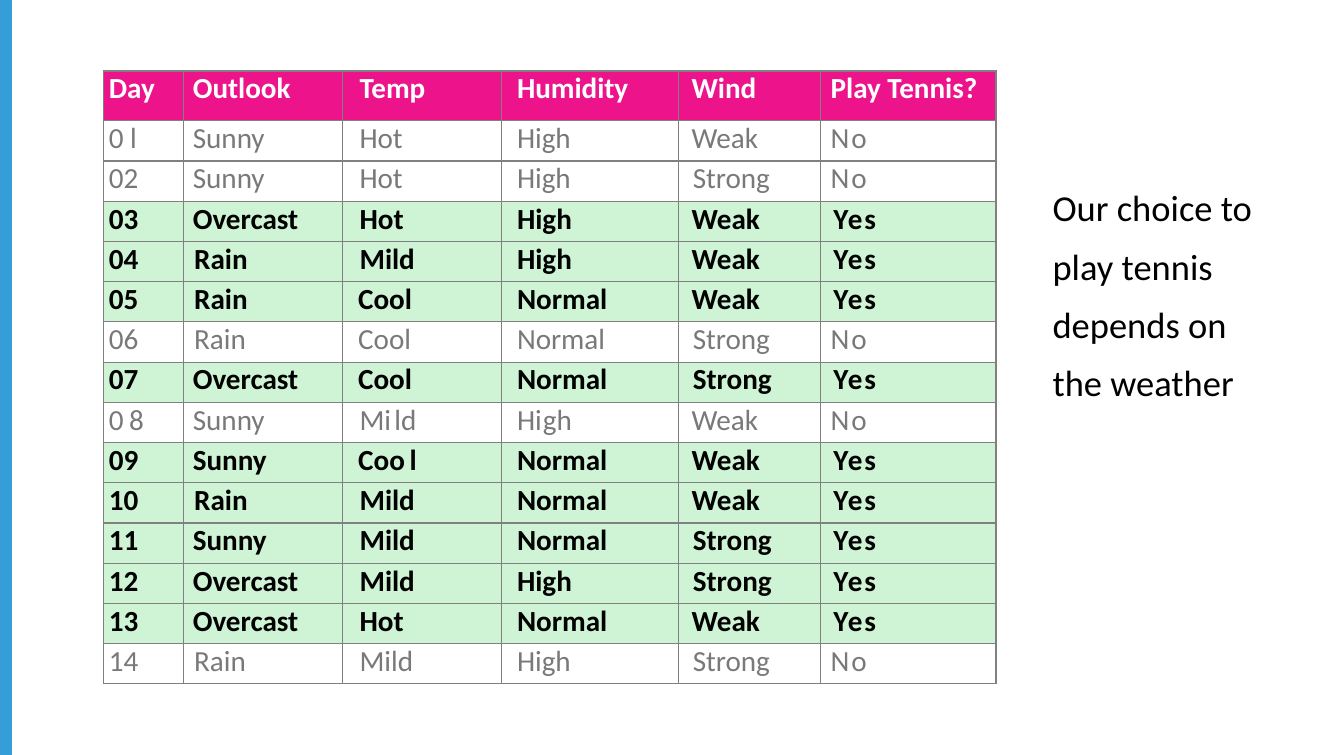
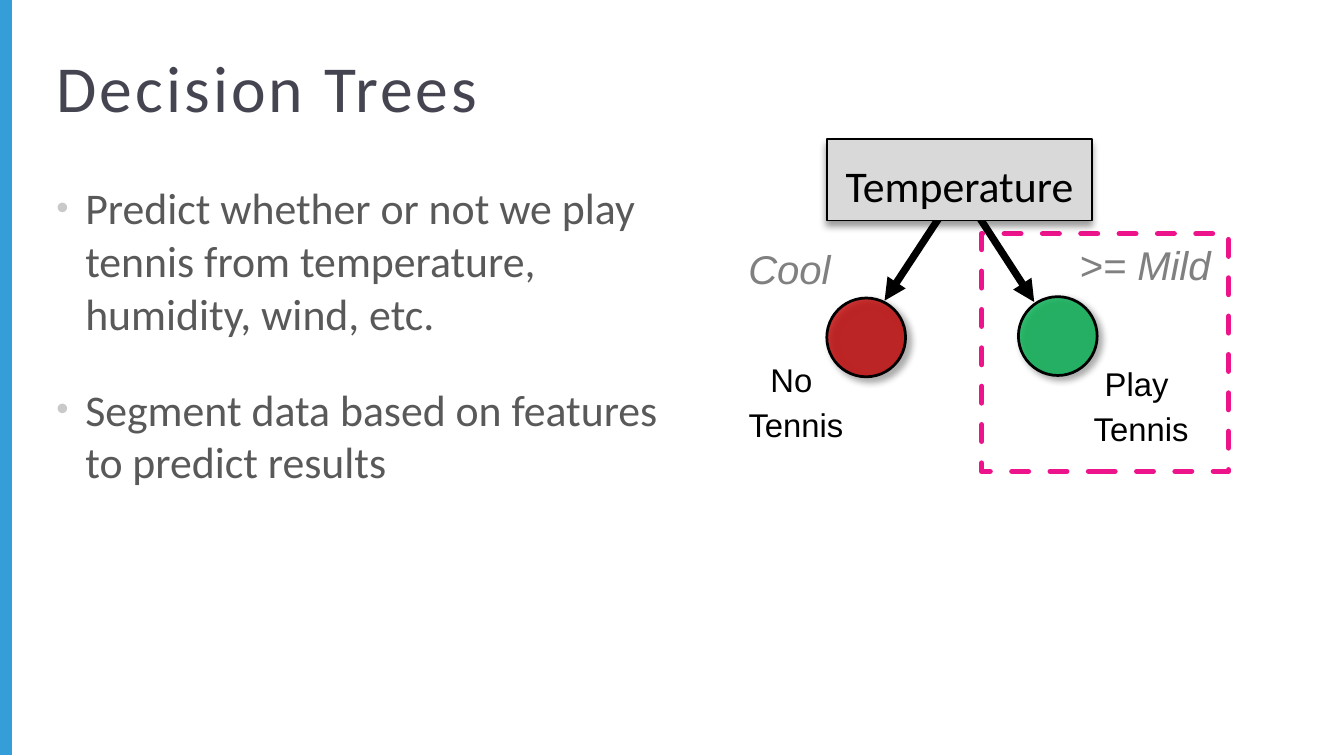
import pptx
import pptx.util
import pptx.dml.color
import pptx.enum.dml
import pptx.enum.shapes
import pptx.enum.text
import pptx.oxml
import pptx.oxml.ns

RGB = pptx.dml.color.RGBColor.from_string
Pt = pptx.util.Pt
SHAPE = pptx.enum.shapes.MSO_SHAPE
ALIGN = pptx.enum.text.PP_ALIGN
ANCHOR = pptx.enum.text.MSO_ANCHOR
PX = 9144  # EMU per px, 100 px to the inch
NS = pptx.oxml.ns.nsdecls("a")


class Theme:
    band, accent, grid = RGB("359ED8"), RGB("EC138B"), "808080"
    title, body, bullet = RGB("454551"), RGB("595959"), "C9C9C9"
    black, white, muted, label = RGB("000000"), RGB("FFFFFF"), RGB("797979"), RGB("808080")
    box, yes, no, play = RGB("D9D9D9"), RGB("A2EAAF"), RGB("C00000"), RGB("00B050")
    heading, sans = "Calibri", "Arial"
    title_size, body_size, side_size, cell_size = Pt(36), Pt(24), Pt(20), Pt(16)
    branch_size, outcome_size = Pt(22), Pt(18)


def style(paragraph, size, color, face=Theme.heading, bold=False, italic=False):
    for run in paragraph.runs:
        font = run.font
        font.size, font.name, font.bold, font.italic = size, face, bold, italic
        font.color.rgb = color


def add_xml(parent, xml, index=None):
    tag_end = min(xml.index(mark) for mark in " />" if mark in xml)
    element = pptx.oxml.parse_xml(f"{xml[:tag_end]} {NS}{xml[tag_end:]}")
    parent.insert(len(parent) if index is None else index, element)


deck = pptx.Presentation()
deck.slide_width, deck.slide_height = 1024 * PX, 575 * PX
weather = deck.slides.add_slide(deck.slide_layouts[6])
tree = deck.slides.add_slide(deck.slide_layouts[1])

# Left band, kept on the master for both slides
band = weather.shapes.add_shape(SHAPE.RECTANGLE, 0, 0, 9 * PX, deck.slide_height)
band.shadow.inherit = False
band.fill.solid()
band.fill.fore_color.rgb = Theme.band
band.line.fill.background()
band.element.nvSpPr.cNvPr.set("id", "99")
deck.slide_master.shapes.element.insert(2, band.element)

# Slide 1: weather table
header = ["Day", "Outlook", "Temp", "Humidity", "Wind", "Play Tennis?"]
days = [
    ["0 l", "Sunny", "Hot", "High", "Weak", "No"],
    ["02", "Sunny", "Hot", "High", "Strong", "No"],
    ["03", "Overcast", "Hot", "High", "Weak", "Yes"],
    ["04", "Rain", "Mild", "High", "Weak", "Yes"],
    ["05", "Rain", "Cool", "Normal", "Weak", "Yes"],
    ["06", "Rain", "Cool", "Normal", "Strong", "No"],
    ["07", "Overcast", "Cool", "Normal", "Strong", "Yes"],
    ["08", "Sunny", "Mild", "High", "Weak", "No"],
    ["09", "Sunny", "Cool", "Normal", "Weak", "Yes"],
    ["10", "Rain", "Mild", "Normal", "Weak", "Yes"],
    ["11", "Sunny", "Mild", "Normal", "Strong", "Yes"],
    ["12", "Overcast", "Mild", "High", "Strong", "Yes"],
    ["13", "Overcast", "Hot", "Normal", "Weak", "Yes"],
    ["14", "Rain", "Mild", "High", "Strong", "No"],
]
column_widths = [61, 121, 121, 135, 108, 134]
column_indents = [4, 7, 13, 12, 10, 8]
value_indents = {"Rain": 8, "Cool": 12, "Strong": 11, "Yes": 10}
# Letter spacing in hundredths of a point, by row and column
spaced_runs = {
    (8, 0): [("08", 300)],
    (8, 2): [("M", 0), ("i", 180), ("ld", 0)],
    (8, 3): [("H", 0), ("i", 60), ("gh", 0)],
    (9, 2): [("Co", 0), ("o", 250), ("l", 0)],
}

days_table = weather.shapes.add_table(
    len(days) + 1, len(header), 79 * PX, 54 * PX, sum(column_widths) * PX, 467 * PX).table
for column, width in zip(days_table.columns, column_widths):
    column.width = width * PX
for row in days_table.rows:
    row.height = (467 - 38) * PX // len(days)
days_table.rows[0].height = 38 * PX

for r, values in enumerate([header] + days):
    played = values[-1] == "Yes"
    text_color = Theme.white if r == 0 else Theme.black if played else Theme.muted
    for c, value in enumerate(values):
        cell = days_table.cell(r, c)
        cell.margin_top = cell.margin_right = cell.margin_bottom = 0
        cell.margin_left = value_indents.get(value, column_indents[c]) * PX
        paragraph = cell.text_frame.paragraphs[0]
        answer_gap = 100 if r and c == len(header) - 1 else 0
        for text, gap in spaced_runs.get((r, c), [(value, answer_gap)]):
            run = paragraph.add_run()
            run.text = text
            if gap:
                run._r.get_or_add_rPr().set("spc", str(gap))
        style(paragraph, Theme.cell_size, text_color, bold=r == 0 or played)
        if r == 0 or played:
            cell.fill.solid()
            cell.fill.fore_color.rgb = Theme.yes if r else Theme.accent
        else:
            cell.fill.background()
        properties = cell._tc.get_or_add_tcPr()
        if played:
            add_xml(properties.find(".//" + pptx.oxml.ns.qn("a:srgbClr")), '<a:alpha val="52000"/>')
        for i, side in enumerate("LRTB"):
            add_xml(properties, f'<a:ln{side} w="9525"><a:solidFill><a:srgbClr val="{Theme.grid}"/>'
                                f'</a:solidFill></a:ln{side}>', i)

# Slide 1: remark beside the table
remark = weather.shapes.add_textbox(801 * PX, 127 * PX, 175 * PX, 178 * PX).text_frame
remark.word_wrap = True
remark.margin_left, remark.margin_top, remark.margin_right, remark.margin_bottom = PX, 3 * PX, 0, 0
remark.text = "Our choice to play tennis depends on the weather"
remark.paragraphs[0].line_spacing = Pt(32)
style(remark.paragraphs[0], Theme.side_size, Theme.black)

# Slide 2: title
title = tree.shapes.title
title.left, title.top, title.width, title.height = 33 * PX, 28 * PX, 811 * PX, 83 * PX
title.text_frame.text = "Decision Trees"
title.text_frame.vertical_anchor = ANCHOR.MIDDLE
title.text_frame.auto_size = pptx.enum.text.MSO_AUTO_SIZE.NONE
heading = title.text_frame.paragraphs[0]
heading.alignment = ALIGN.LEFT
heading.line_spacing = 0.9
style(heading, Theme.title_size, Theme.title)
heading.runs[0]._r.get_or_add_rPr().set("spc", "170")

# Slide 2: goals
goals = tree.placeholders[1]
goals.left, goals.top, goals.width, goals.height = 33 * PX, 133 * PX, 503 * PX, 352 * PX
goals.text_frame.text = ("Predict whether or not we play tennis from temperature, humidity, wind, etc.\n"
                         "Segment data based on features to predict results")
goals.text_frame.auto_size = pptx.enum.text.MSO_AUTO_SIZE.NONE
for i, goal in enumerate(goals.text_frame.paragraphs):
    properties = goal._p.get_or_add_pPr()
    properties.set("marL", str(22 * PX))
    properties.set("indent", str(-22 * PX))
    add_xml(properties, f'<a:buClr><a:srgbClr val="{Theme.bullet}"/></a:buClr>')
    add_xml(properties, '<a:buSzPct val="80000"/>')
    add_xml(properties, '<a:buFont typeface="Arial"/>')
    add_xml(properties, '<a:buChar char="•"/>')
    goal.space_before = Pt(24 if i else 0)
    style(goal, Theme.body_size, Theme.body)

# Slide 2: dashed frame around the play branch
play_frame = tree.shapes.add_shape(SHAPE.RECTANGLE, 748 * PX, 178 * PX, 188 * PX, 181 * PX)
play_frame.shadow.inherit = False
play_frame.fill.background()
play_frame.line.color.rgb = Theme.accent
play_frame.line.width = Pt(3)
play_frame.line.dash_style = pptx.enum.dml.MSO_LINE.DASH
play_frame.line._get_or_add_ln().set("cap", "rnd")

# Slide 2: branches
for x1, y1, x2, y2 in [(724, 153, 674, 229), (738, 153, 788, 230)]:
    branch = tree.shapes.add_connector(
        pptx.enum.shapes.MSO_CONNECTOR.STRAIGHT, x1 * PX, y1 * PX, x2 * PX, y2 * PX)
    branch.line.color.rgb = Theme.black
    branch.line.width = Pt(4)
    add_xml(branch.line._get_or_add_ln(), '<a:tailEnd type="triangle"/>')
    add_xml(branch.element.spPr, "<a:effectLst/>")

# Slide 2: nodes, as preset, box, fill, opacity, line width, shadow angle
nodes = [
    (SHAPE.RECTANGLE, (630, 106, 202, 62), Theme.box, 100, 0.75, 90),
    (SHAPE.OVAL, (776, 226, 60, 60), Theme.play, 79, 1.5, 45),
    (SHAPE.OVAL, (630, 227, 60, 60), Theme.no, 79, 1.5, 45),
]
for preset, box, color, opacity, line_width, angle in nodes:
    node = tree.shapes.add_shape(preset, *(n * PX for n in box))
    node.shadow.inherit = False
    node.fill.solid()
    node.fill.fore_color.rgb = color
    if opacity < 100:
        add_xml(node.element.spPr.find(".//" + pptx.oxml.ns.qn("a:srgbClr")),
                f'<a:alpha val="{opacity * 1000}"/>')
    node.line.color.rgb = Theme.black
    node.line.width = Pt(line_width)
    add_xml(node.element.spPr.find(pptx.oxml.ns.qn("a:effectLst")),
            f'<a:outerShdw blurRad="{Pt(4)}" dist="{Pt(3)}" dir="{angle * 60000}" rotWithShape="0">'
            '<a:srgbClr val="000000"><a:alpha val="40000"/></a:srgbClr></a:outerShdw>')
    if preset == SHAPE.RECTANGLE:
        feature = node.text_frame
        feature.margin_left = feature.margin_right = 0
        feature.margin_top, feature.margin_bottom = 12 * PX, 8 * PX
        feature.vertical_anchor = ANCHOR.MIDDLE
        feature.text = "Temperature"
        feature.paragraphs[0].alignment = ALIGN.CENTER
        feature.paragraphs[0].line_spacing = Pt(32)
        style(feature.paragraphs[0], Theme.body_size, Theme.black)

# Slide 2: outcome and branch labels
labels = [
    ("Play \nTennis", 807, 272, 67, False),
    (">= Mild", 810, 178, 40, True),
    ("No \nTennis", 544, 269, 67, False),
    ("Cool", 539, 181, 40, True),
]
for text, left, top, height, is_branch in labels:
    label = tree.shapes.add_textbox(left * PX, top * PX, 124 * PX, height * PX).text_frame
    label.word_wrap = True
    label.margin_left, label.margin_top, label.margin_right, label.margin_bottom = PX, 5 * PX, 0, 0
    label.text = text
    for i, line in enumerate(label.paragraphs):
        line.alignment = ALIGN.CENTER
        line.space_before = Pt(3 if i else 0)
        style(line, Theme.branch_size if is_branch else Theme.outcome_size,
              Theme.label if is_branch else Theme.black, Theme.sans, italic=is_branch)

deck.save("out.pptx")
